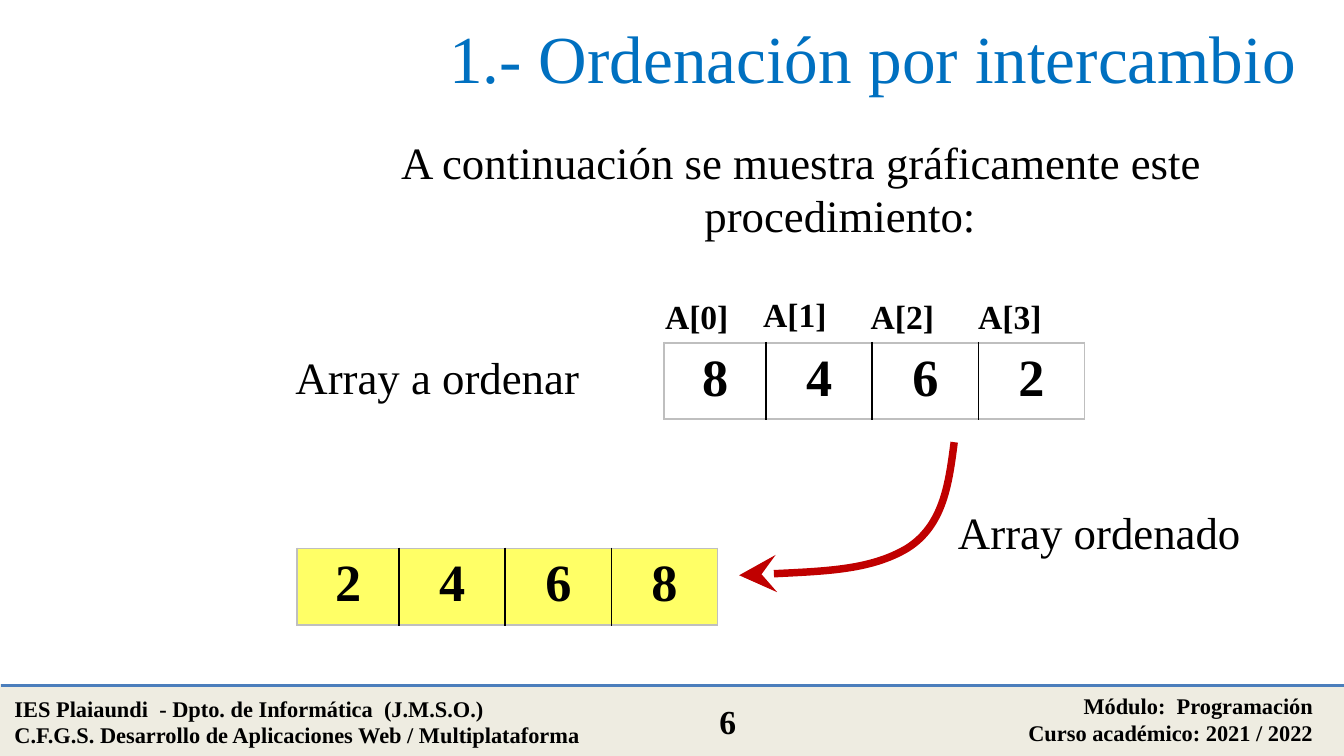
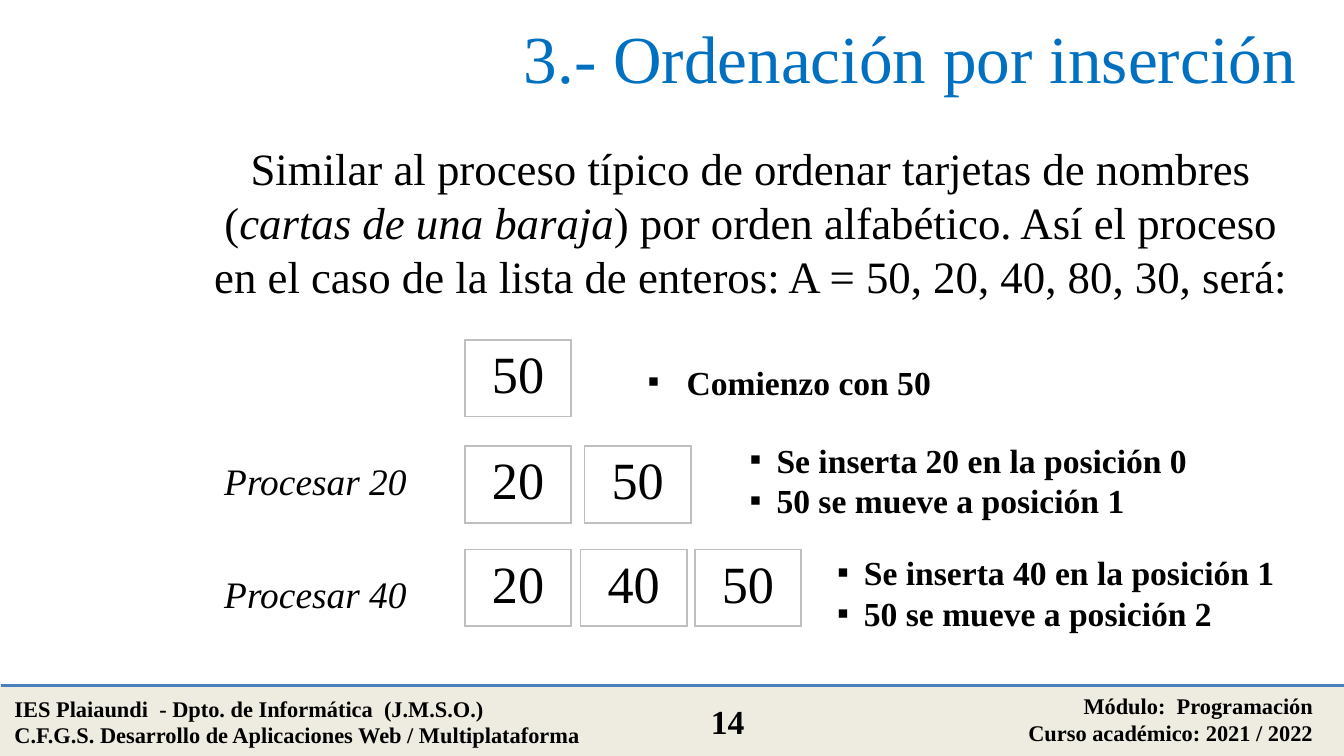
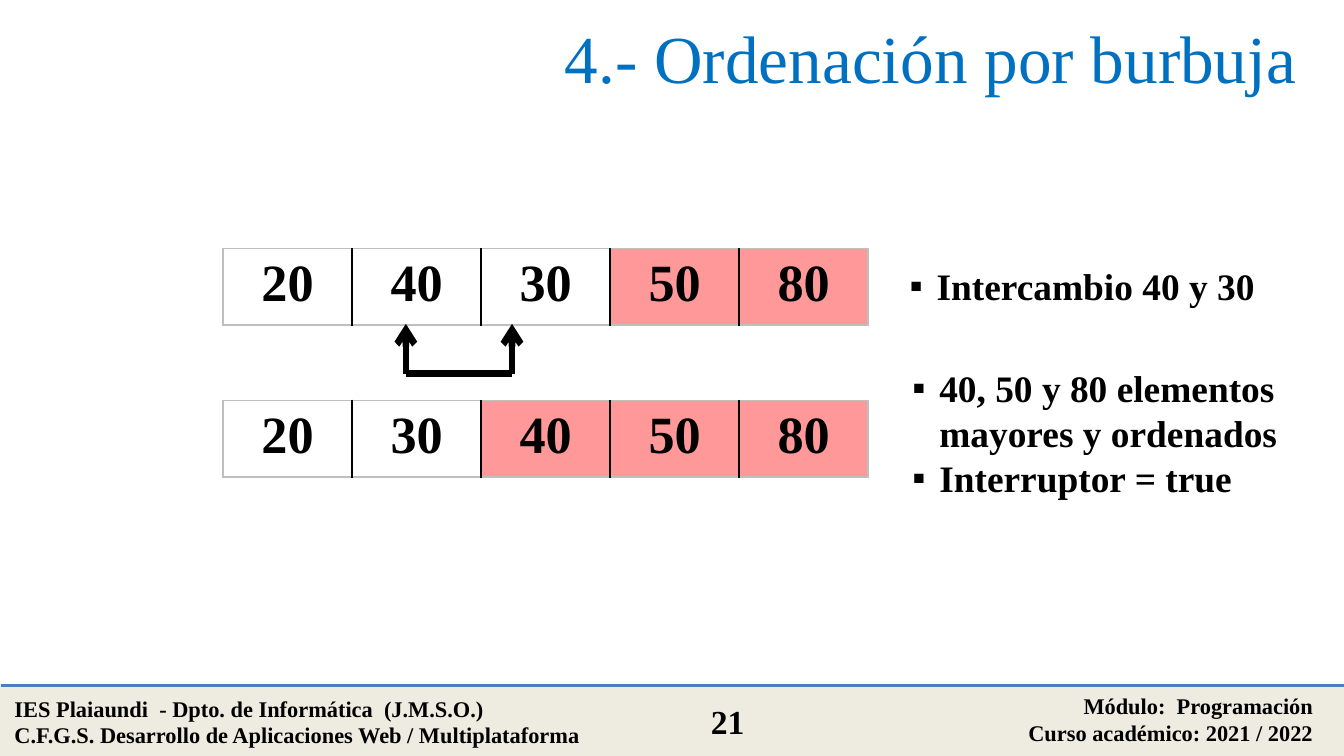
"""Three slides on sorting arrays: exchange, insertion and bubble sort."""
from lxml.etree import SubElement
from pptx import Presentation
from pptx.dml.color import RGBColor
from pptx.enum.shapes import MSO_CONNECTOR as Connector, MSO_SHAPE as Shape
from pptx.enum.text import MSO_ANCHOR as Anchor, MSO_AUTO_SIZE as AutoSize, PP_ALIGN as Align
from pptx.oxml.ns import qn
from pptx.util import Inches, Pt

FONT = "Times New Roman"
COLORS = {
    "text": "000000",
    "title": "0070C0",
    "band": "EEECE1",
    "rule": "4B7EBC",
    "frame": "BFBFBF",
    "sorted": "FFFF66",
    "settled": "FF9999",
    "arrow": "C00000",
}
RGB = {name: RGBColor.from_string(value) for name, value in COLORS.items()}


def add_text(shapes, box, lines, size, align=Align.LEFT, color="text", bold=False,
             italic=False, top_inset=0.05, hanging=0, bullet=None):
    """Add a text box; parts between asterisks switch to italics."""
    textbox = shapes.add_textbox(*map(Inches, box))
    frame = textbox.text_frame
    frame.word_wrap = True
    frame.auto_size = AutoSize.SHAPE_TO_FIT_TEXT
    frame.margin_top = Inches(top_inset)
    for number, line in enumerate(lines):
        paragraph = frame.paragraphs[0] if number == 0 else frame.add_paragraph()
        paragraph.alignment = align
        if hanging:
            properties = paragraph._p.get_or_add_pPr()
            properties.set("marL", str(Inches(hanging)))
            properties.set("indent", str(-Inches(hanging)))
            if bullet:
                SubElement(properties, qn("a:buFont")).set("typeface", FONT)
                SubElement(properties, qn("a:buChar")).set("char", bullet)
        for part, words in enumerate(line.split("*")):
            run = paragraph.add_run()
            run.text = words
            run.font.name = FONT
            run.font.size = Pt(size)
            run.font.bold = bold
            run.font.italic = italic or part % 2 == 1
            run.font.color.rgb = RGB[color]
    return frame


def add_array(shapes, left, top, widths, values, bold=True, fills=None, height=0.57):
    """Add a one-row table with a grey frame and black separators."""
    table = shapes.add_table(1, len(values), Inches(left), Inches(top),
                             Inches(sum(widths)), Inches(height)).table
    table.first_row = table.horz_banding = False
    last = len(values) - 1
    for index, value in enumerate(values):
        table.columns[index].width = Inches(widths[index])
        cell = table.cell(0, index)
        cell.text_frame.text = str(value)
        paragraph = cell.text_frame.paragraphs[0]
        paragraph.alignment = Align.CENTER
        font = paragraph.runs[0].font
        font.name, font.size, font.bold = FONT, Pt(28), bold
        font.color.rgb = RGB["text"]
        if fills and fills[index]:
            cell.fill.solid()
            cell.fill.fore_color.rgb = RGB[fills[index]]
        else:
            cell.fill.background()
        borders = {
            "a:lnL": "text" if index > 0 else "frame",
            "a:lnR": "text" if index < last else "frame",
            "a:lnT": "frame",
            "a:lnB": "frame",
        }
        properties = cell._tc.get_or_add_tcPr()
        for place, (side, color) in enumerate(borders.items()):
            border = SubElement(properties, qn(side), w=str(Pt(1)))
            fill = SubElement(border, qn("a:solidFill"))
            SubElement(fill, qn("a:srgbClr")).set("val", COLORS[color])
            properties.insert(place, border)


prs = Presentation()
prs.slide_width, prs.slide_height = Inches(10), Inches(10 * 9 / 16)
strokes = []
slides = []

for title, number in [
    ("1.- Ordenación por intercambio ", 6),
    ("3.- Ordenación por inserción ", 14),
    ("4.- Ordenación por burbuja ", 21),
]:
    slide = prs.slides.add_slide(prs.slide_layouts[6])
    slides.append(slide.shapes)
    footer = slide.shapes.add_group_shape().shapes
    band = footer.add_shape(Shape.RECTANGLE, Inches(0.01), Inches(5.1), Inches(10), Inches(0.52))
    band.shadow.inherit = False
    band.fill.solid()
    band.fill.fore_color.rgb = RGB["band"]
    band.line.color.rgb = RGB["band"]
    band.line.width = Pt(2)
    rule = footer.add_connector(Connector.STRAIGHT, Inches(0.01), Inches(5.1),
                                Inches(10.01), Inches(5.1))
    strokes.append((rule, "rule", 2, None))
    add_text(footer, (0.01, 5.12, 4.66, 0.5),
             ["IES Plaiaundi  - Dpto. de Informática  (J.M.S.O.)",
              "C.F.G.S. Desarrollo de Aplicaciones Web / Multiplataforma"], 12, bold=True)
    add_text(footer, (5.87, 5.1, 4, 0.5),
             ["Módulo:  Programación", "Curso académico: 2021 / 2022"],
             12, Align.RIGHT, bold=True)
    add_text(footer, (5.01, 5.17, 0.81, 0.4), [str(number)], 18, Align.CENTER, bold=True)
    heading = add_text(slide.shapes, (0.01, 0, 9.86, 0.84), [title], 36, Align.RIGHT, "title")
    heading.auto_size = AutoSize.NONE
    heading.vertical_anchor = Anchor.MIDDLE

exchange, insertion, bubble = slides

add_text(exchange, (2.34, 0.95, 7.24, 0.91),
         ["A continuación se muestra gráficamente este procedimiento:"],
         24, Align.CENTER, hanging=0.58)
four_cells = [0.76, 0.79, 0.79, 0.79]
add_array(exchange, 4.94, 2.55, four_cells, [8, 4, 6, 2])
add_text(exchange, (2.1, 2.55, 2.76, 0.5), ["Array a ordenar"], 24)
for index, (left, top) in enumerate([(4.85, 2.15), (5.58, 2.14), (6.38, 2.15), (7.18, 2.15)]):
    add_text(exchange, (left, top, 0.71, 0.4), [f"A[{index}]"], 18, bold=True)
add_array(exchange, 2.21, 4.08, four_cells, [2, 4, 6, 8], fills=["sorted"] * 4)
add_text(exchange, (7.03, 3.71, 2.76, 0.5), ["Array ordenado"], 24)

curve_points = [(7.06, 3.6), (7.02, 3.91), (6.75, 4.08), (6.48, 4.24), (5.99, 4.26), (5.5, 4.28)]
builder = exchange.build_freeform(Inches(7.1), Inches(3.29))
builder.add_line_segments([(Inches(x), Inches(y)) for x, y in curve_points], close=False)
sorting_arrow = builder.convert_to_shape()
sorting_arrow.fill.background()
outline = sorting_arrow._element.find(".//" + qn("a:path"))
corners = outline.findall(qn("a:lnTo"))
for start in range(0, len(corners), 3):
    bend = SubElement(outline, qn("a:cubicBezTo"))
    for corner in corners[start:start + 3]:
        bend.append(corner[0])
        outline.remove(corner)
strokes.append((sorting_arrow, "arrow", 4, {"type": "stealth", "w": "lg", "len": "lg"}))

add_text(insertion, (1.49, 1, 8.19, 1.31),
         ["Similar al proceso típico de ordenar tarjetas de nombres (*cartas de una baraja*) por orden "
          "alfabético. Así el proceso en el caso de la lista de enteros: A = 50, 20, 40, 80, 30, será:"],
         24, Align.CENTER)
for top, cards in [
    (2.53, [(3.46, 50)]),
    (3.32, [(3.46, 20), (4.35, 50)]),
    (4.09, [(3.46, 20), (4.32, 40), (5.17, 50)]),
]:
    for left, value in cards:
        add_array(insertion, left, top, [0.79], [value], bold=False)
for top, step in [(3.33, "Procesar 20"), (4.17, "Procesar 40")]:
    add_text(insertion, (1.57, top, 1.69, 0.47), [step], 20, italic=True, top_inset=0.08)

for shapes, box, notes, size, hanging in [
    (insertion, (4.72, 2.61, 3.31, 0.43), ["Comienzo con 50"], 18, 0.29),
    (insertion, (5.48, 3.19, 3.67, 0.74),
     ["Se inserta 20 en la posición 0", "50 se mueve a posición 1"], 18, 0.2),
    (insertion, (6.13, 4.03, 3.48, 0.74),
     ["Se inserta 40 en la posición 1", "50 se mueve a posición 2"], 18, 0.2),
    (bubble, (6.67, 1.88, 2.87, 0.47), ["Intercambio 40 y 30"], 20, 0.2),
    (bubble, (6.69, 2.64, 3.18, 1.14),
     ["40, 50 y 80 elementos mayores y ordenados", "Interruptor = true"], 20, 0.2),
]:
    add_text(shapes, box, notes, size, bold=True, top_inset=0.08, hanging=hanging, bullet="▪")

for top, height, values, settled in [
    (1.85, 0.54, [20, 40, 30, 50, 80], 2),
    (2.98, 0.57, [20, 30, 40, 50, 80], 3),
]:
    fills = [None] * (5 - settled) + ["settled"] * settled
    add_array(bubble, 1.66, top, [0.96] * 5, values, fills=fills, height=height)
swap = bubble.add_group_shape().shapes
for ends, head in [
    ((3.02, 2.78, 3.02, 2.41), {"type": "arrow"}),
    ((3.81, 2.78, 3.81, 2.41), {"type": "arrow"}),
    ((3.02, 2.78, 3.81, 2.78), None),
]:
    link = swap.add_connector(Connector.STRAIGHT, *map(Inches, ends))
    strokes.append((link, "text", 3.5, head))

for stroke, color, width, head in strokes:
    stroke.line.color.rgb = RGB[color]
    stroke.line.width = Pt(width)
    properties = stroke._element.spPr
    if head:
        SubElement(properties.find(qn("a:ln")), qn("a:tailEnd"), head)
    SubElement(properties, qn("a:effectLst"))

prs.save("out.pptx")
